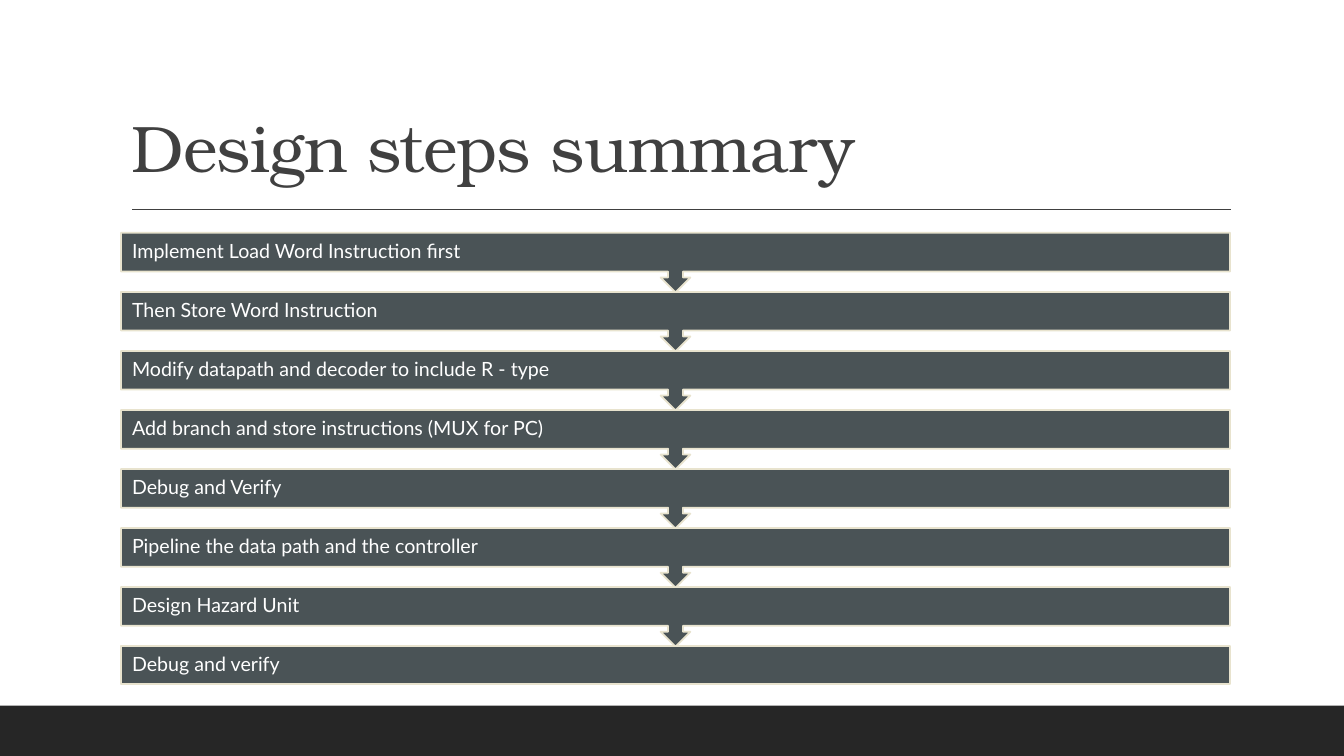
import pptx
import pptx.util
import pptx.dml.color
import pptx.enum.shapes
import pptx.enum.text
from lxml import etree

Inches = pptx.util.Inches
Shapes = pptx.enum.shapes.MSO_SHAPE
Anchor = pptx.enum.text.MSO_ANCHOR

TITLE = "Design steps summary"
STEPS = [
    "Implement Load Word Instruction first",
    "Then Store Word Instruction",
    "Modify datapath and decoder to include R - type",
    "Add branch and store instructions (MUX for PC)",
    "Debug and Verify",
    "Pipeline the data path and the controller",
    "Design Hazard Unit",
    "Debug and verify",
]
LEFT, WIDTH = 1.2, 11
FIRST_TOP, LAST_TOP = 2.31, 6.41
CALLOUT_HEIGHT, BAR_HEIGHT = 0.59, 0.38
STEP_PITCH = (LAST_TOP - FIRST_TOP) / (len(STEPS) - 1)


def color(value):
    return pptx.dml.color.RGBColor.from_string(value)


def write(shape, text, font, size, fill, anchor, inset=0.1, tracking=None):
    frame = shape.text_frame
    frame.word_wrap = True
    frame.auto_size = pptx.enum.text.MSO_AUTO_SIZE.NONE
    frame.vertical_anchor = anchor
    frame.margin_left = frame.margin_right = Inches(inset)
    frame.margin_top = frame.margin_bottom = Inches(inset / 2)
    para = frame.paragraphs[0]
    para.alignment = pptx.enum.text.PP_ALIGN.LEFT
    para.line_spacing = 0.9
    span = para.add_run()
    span.text = text
    span.font.name = font
    span.font.size = pptx.util.Pt(size)
    span.font.color.rgb = color(fill)
    if tracking is not None:
        span.font._element.set("spc", str(round(tracking * 100)))


def add_box(page, kind, left, top, width, height, fill, line=None):
    box = page.shapes.add_shape(
        kind, Inches(left), Inches(top), Inches(width), Inches(height))
    box.shadow.inherit = False
    box.fill.solid()
    box.fill.fore_color.rgb = color(fill)
    if line:
        box.line.color.rgb = color(line)
        box.line.width = pptx.util.Pt(1.25)
    else:
        box.line.fill.background()
    return box


def add_rule(page, left, right, top):
    rule = page.shapes.add_connector(
        pptx.enum.shapes.MSO_CONNECTOR.STRAIGHT,
        Inches(left), Inches(top), Inches(right), Inches(top))
    rule.line.color.rgb = color("404040")
    rule.line.width = pptx.util.Pt(1)
    etree.SubElement(rule._element.spPr, pptx.oxml.ns.qn("a:effectLst"))


def main():
    deck = pptx.Presentation()
    deck.slide_width = Inches(13.33)
    deck.slide_height = Inches(7.5)
    page = deck.slides.add_slide(deck.slide_layouts[5])

    title = page.shapes.title
    title.left, title.top = Inches(LEFT), Inches(0.31)
    title.width, title.height = Inches(WIDTH), Inches(1.59)
    write(title, TITLE, font="TeX Gyre Bonum", size=47, fill="404040",
          anchor=Anchor.BOTTOM, tracking=-0.5)

    add_box(page, Shapes.RECTANGLE, 0, 7, 13.33, 0.5, "262626")
    add_rule(page, 1.31, 12.21, 2.08)

    for index, step in enumerate(STEPS):
        is_last = index == len(STEPS) - 1
        kind = Shapes.RECTANGLE if is_last else Shapes.DOWN_ARROW_CALLOUT
        height = BAR_HEIGHT if is_last else CALLOUT_HEIGHT
        bar = add_box(page, kind, LEFT, FIRST_TOP + index * STEP_PITCH,
                      WIDTH, height, "4A5356", "E8E3CE")
        write(bar, step, font="Lato", size=14, fill="FFFFFF",
              anchor=Anchor.MIDDLE, inset=0.11)

    deck.save("out.pptx")


if __name__ == "__main__":
    main()
